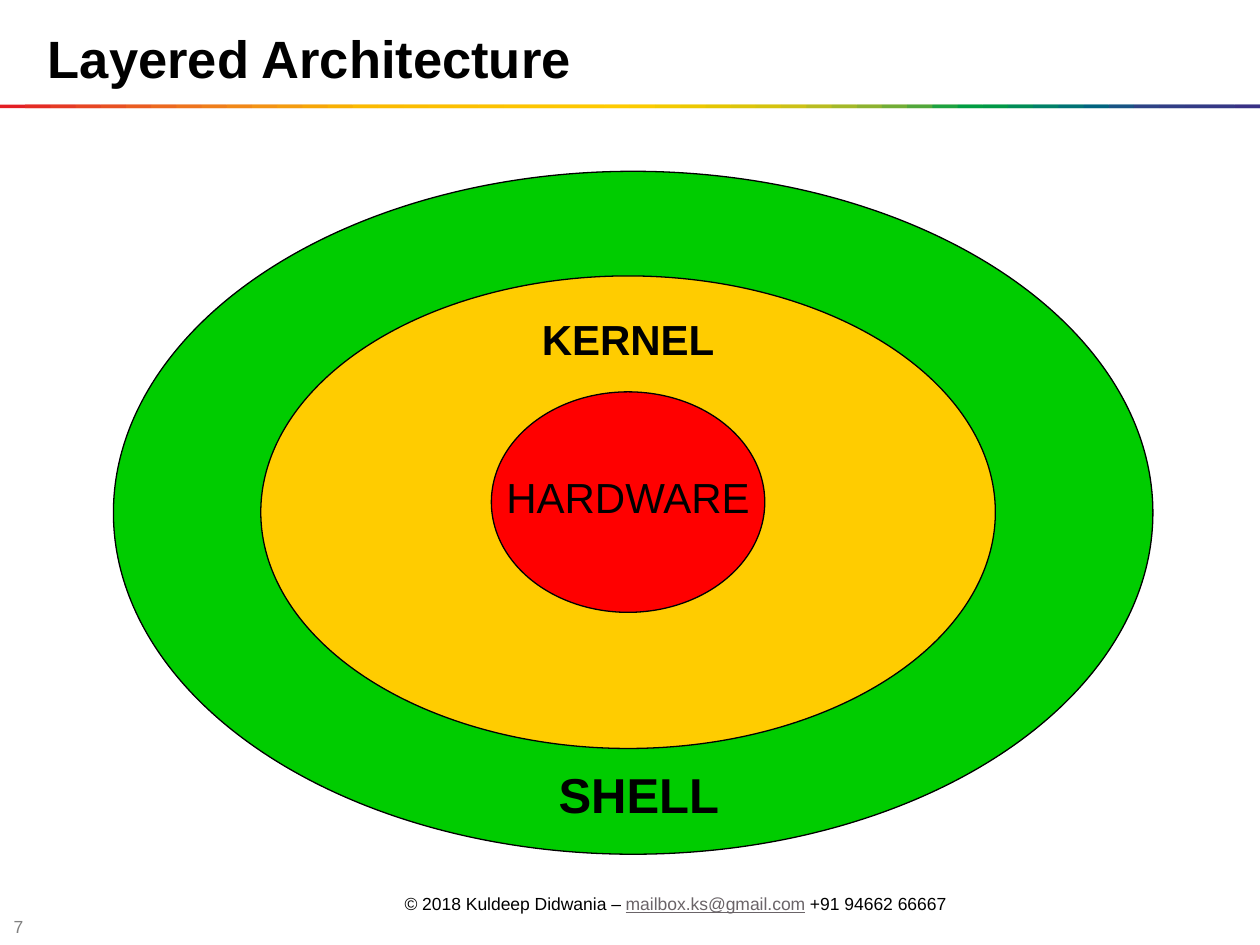
from pptx import Presentation
from pptx import util as u
from pptx.dml import color
from pptx.enum import shapes, text

BLACK = "000000"
RAINBOW = """
E31E24 E42C24 E53A24 E74623 E85122 EA5D21 EC691F EE741D EF7E1A F18817
F39314 F49C0F F6A607 F8B002 FBBA00 FBBB00 FBBD00 FCBF00 FCC000 FCC200
FDC400 FDC600 FDC700 FEC900 FECB00 FBCB00 F3CA00 ECC800 E4C602 DCC50A
D5C30E CCC117 B8BC21 A3B829 8CB230 71AD36 51A73B 1DA240 009D43 009846
008C57 008068 007275 00637F 185384 2E4285 313E85 333B85 353885 393185
""".split()


def rgb(code):
    return color.RGBColor.from_string(code)


class SlideBuilder:
    """Holds the text style and the slide being built."""

    style = {"name": "Arial", "bold": False, "underline": False}

    def __init__(self, slide):
        self.slide = slide

    def fill_text(self, box, spans, size, align, anchor, margins=(0.1, 0.05),
                  **extra):
        frame = box.text_frame
        side, top = (u.Inches(margin) for margin in margins)
        layout = {
            "word_wrap": True, "auto_size": text.MSO_AUTO_SIZE.NONE,
            "vertical_anchor": anchor, "margin_left": side,
            "margin_right": side, "margin_top": top, "margin_bottom": top,
        }
        for key, value in layout.items():
            setattr(frame, key, value)
        para = frame.paragraphs[0]
        para.alignment = align
        para.space_before = u.Pt(0)
        for words, shade, changes in spans:
            span = para.add_run()
            span.text = words
            values = {**self.style, "size": u.Pt(size), **extra, **changes}
            for key, value in values.items():
                setattr(span.font, key, value)
            span.font.color.rgb = rgb(shade)

    def title(self, words, place, size):
        box = self.slide.shapes.title
        box.left, box.top, box.width, box.height = map(u.Inches, place)
        self.fill_text(box, [(words, BLACK, {})], size, text.PP_ALIGN.LEFT,
                       text.MSO_ANCHOR.TOP, bold=True)

    def text_box(self, spans, place, size, align=text.PP_ALIGN.CENTER,
                 anchor=text.MSO_ANCHOR.TOP, **extra):
        box = self.slide.shapes.add_textbox(*map(u.Inches, place))
        self.fill_text(box, spans, size, align, anchor, **extra)

    def shape(self, kind, place, fill, line=None, parent=None):
        owner = parent or self.slide
        shape = owner.shapes.add_shape(kind, *map(u.Inches, place))
        shape.shadow.inherit = False
        shape.fill.solid()
        shape.fill.fore_color.rgb = rgb(fill)
        if line:
            shape.line.color.rgb = rgb(line)
            shape.line.width = u.Pt(0.75)
        else:
            shape.line.fill.background()

    def rainbow_rule(self, top, height, colours, width=10):
        group = self.slide.shapes.add_group_shape()
        step = width / len(colours)
        for index, fill in enumerate(colours):
            left = index * step
            strip = min(2 * step, width - left)  # strips overlap by half
            self.shape(shapes.MSO_SHAPE.RECTANGLE, (left, top, strip, height),
                       fill, parent=group)


def main():
    deck = Presentation()
    deck.slide_width, deck.slide_height = u.Inches(10), u.Inches(7.5)
    page = SlideBuilder(deck.slides.add_slide(deck.slide_layouts[5]))

    # Footer and page number
    footer = [
        ("© 2018 Kuldeep Didwania – ", BLACK, {}),
        ("mailbox.ks@gmail.com", "6A6468", {"underline": True}),
        (" +91 94662 66667", BLACK, {}),
    ]
    page.text_box(footer, (2.92, 7, 4.88, 0.34), 10,
                  anchor=text.MSO_ANCHOR.MIDDLE)
    page.text_box([("7", "808080", {})], (0.01, 7.27, 0.39, 0.16), 10,
                  text.PP_ALIGN.LEFT, text.MSO_ANCHOR.MIDDLE, margins=(0.1, 0))

    # Title and the rule beneath it
    page.rainbow_rule(0.83, 0.03, RAINBOW)
    page.title("Layered Architecture", (0.28, 0.16, 9.22, 0.61), 30)

    # Nested layers, outermost first
    layers = [
        ((0.9, 1.36, 8.25, 5.42), "00CC00"),
        ((2.07, 2.19, 5.83, 3.75), "FFCC00"),
        ((3.9, 3.11, 2.17, 1.75), "FF0000"),
    ]
    for place, fill in layers:
        page.shape(shapes.MSO_SHAPE.OVAL, place, fill, BLACK)

    # Layer names
    labels = [
        ("SHELL", (3.32, 6.02, 3.5, 0.56), 28, True),
        ("KERNEL", (3.57, 2.44, 2.83, 0.5), 24, True),
        ("HARDWARE", (3.9, 3.69, 2.17, 0.5), 24, False),
    ]
    for words, place, size, bold in labels:
        page.text_box([(words, BLACK, {})], place, size, bold=bold)

    deck.save("out.pptx")


if __name__ == "__main__":
    main()
